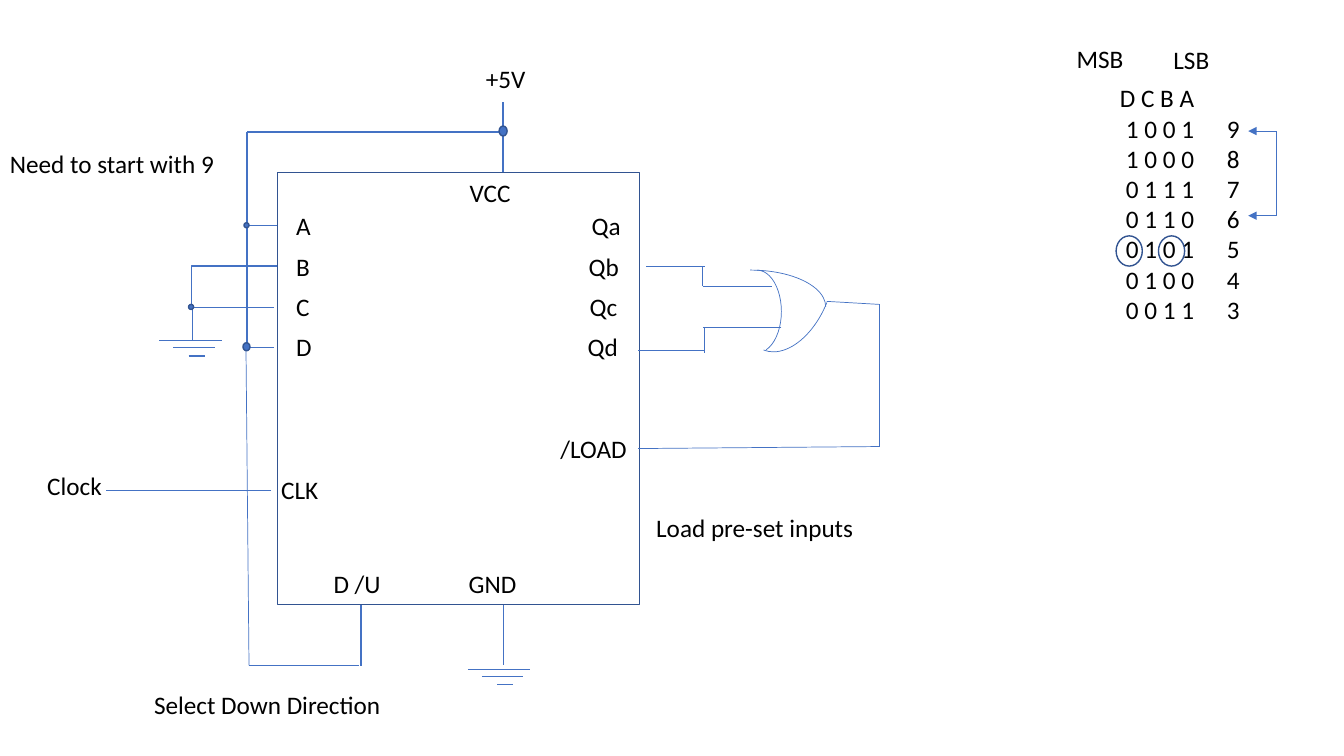
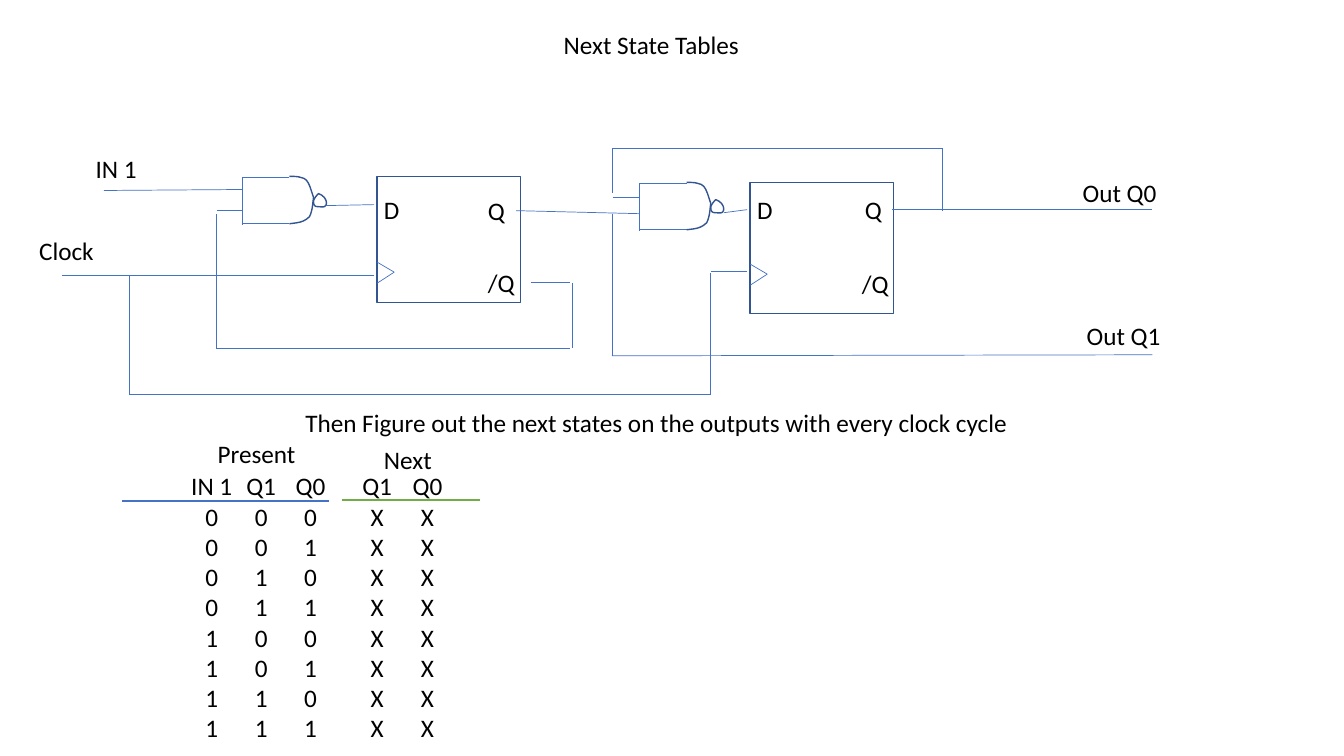
from pptx import Presentation
from pptx.dml.color import RGBColor
from pptx.enum import shapes, text
from pptx.oxml.ns import qn
from pptx.util import Inches, Pt
from lxml import etree

COLORS = {"wire": "4472C4", "outline": "325491", "ink": "000000", "next": "70AD47"}
FONT, SIZE = "Calibri", 18
LABEL_H = 0.4
THIN, MEDIUM, THICK = 0.5, 1, 1.5

# ---- Counter slide: labels are (text, left, top, width) ----
CHIP = (2.75, 1.71, 3.59, 4.29)
INPUT_PINS = ["A", "B", "C", "D"]
OUTPUT_PINS = [("Qa", 5.77), ("Qb", 5.74), ("Qc", 5.75), ("Qd", 5.73)]
PIN_TOP, PIN_STEP = 2.04, 0.4
COUNTER_LABELS = [
    ("D /U", 3.21, 5.59, 0.74), ("/LOAD", 5.46, 4.25, 0.87),
    ("GND", 4.55, 5.59, 0.87), ("VCC", 4.56, 1.71, 0.87),
    ("CLK", 2.69, 4.66, 0.87), ("Need to start with 9", 0, 1.42, 2.29),
    ("Clock", 0.37, 4.62, 0.87), ("Load pre-set inputs", 6.41, 5.03, 2.17),
    ("Select Down Direction", 1.43, 6.79, 2.83), ("MSB", 10.58, 0.38, 0.7),
    ("LSB", 11.54, 0.39, 0.7), ("+5V", 4.72, 0.58, 1.33),
]
COUNT_BOX = (11.01, 0.77, 1.53, 2.52)
COUNT_HEADER = "D C B A"
COUNTS = range(9, 2, -1)
COUNT_INDENT, COUNT_TAB = 0.06, 0.9
# Wires are (width, corner points)
B_TO_GROUND = [(2.75, 2.64), (1.91, 3.05)]
COUNTER_WIRES = [
    (MEDIUM, [(1.91, 3.05), (1.91, 3.38)]),                  # to ground
    (MEDIUM, [(2.72, 3.05), (1.86, 3.05)]),                  # C to ground
    (MEDIUM, [(2.72, 3.45), (2.45, 3.45), (2.45, 2.24), (2.45, 1.31), (4.99, 1.31)]),
    (MEDIUM, [(2.75, 2.24), (2.45, 2.24)]),                  # A to supply
    (MEDIUM, [(4.99, 1.71), (4.99, 1.01)]),                  # VCC
    (MEDIUM, [(3.58, 6), (3.58, 6.61)]),                     # D /U
    (THIN, [(3.56, 6.6), (2.47, 6.6), (2.44, 3.46)]),
    (THIN, [(6.41, 2.64), (6.99, 2.64)]),                    # Qb to gate
    (THIN, [(6.97, 2.64), (6.97, 2.84), (7.66, 2.84)]),
    (THIN, [(6.33, 3.48), (6.98, 3.48)]),                    # Qd to gate
    (THIN, [(6.99, 3.5), (6.99, 3.25)]),
    (THIN, [(7.75, 3.25), (6.97, 3.25)]),
    (THIN, [(6.33, 4.45), (8.72, 4.43), (8.72, 3.02), (8.2, 2.99)]),
    (THIN, [(4.99, 6), (4.99, 6.6)]),                        # GND
    (THIN, [(2.69, 4.86), (1.05, 4.86)]),                    # Clock
    (THIN, [(12.66, 1.3), (12.66, 2.14)]),                   # range bracket
]
BRACKET_ENDS = [1.3, 2.14]
GROUNDS = [(1.58, 3.38), (4.64, 6.64)]
GROUND_BARS = [(0, 0, 0.62), (0.14, 0.07, 0.41), (0.29, 0.15, 0.16)]  # inset, drop, length
JUNCTIONS = [(2.42, 2.21, 0.05, 0.05), (1.87, 3.02, 0.05, 0.05),
             (4.95, 1.25, 0.08, 0.1), (2.41, 3.4, 0.07, 0.08)]
ZERO_RINGS = [(11.07, 2.34, 0.26, 0.3), (11.49, 2.34, 0.26, 0.3)]
OR_ARCS = [((7.27, 2.68, 0.48, 0.82), (162, 46.18), 0),
           ((6.71, 2.68, 1.48, 0.73), (161.04, 0), 0),
           ((7.15, 2.44, 1.34, 0.82), (162, 0), 111.6)]

# ---- Next state slide ----
TITLE = ("Next State Tables", 5.49, 0.24, 2.35)
STATE_LABELS = [
    ("Q", 4.74, 1.89, 0.38), ("Q", 8.48, 1.88, 0.33),
    ("/Q", 4.74, 2.6, 0.53), ("/Q", 8.45, 2.61, 0.53),
    ("D", 3.71, 1.88, 0.38), ("D", 7.41, 1.88, 0.38),
    ("IN 1", 0.85, 1.47, 0.91), ("Clock", 0.29, 2.29, 1.36),
    ("Out Q0", 10.64, 1.71, 1), ("Out Q1", 10.68, 3.13, 1.1),
    ("Then Figure out the next states on the outputs with every clock cycle",
     2.93, 3.99, 7.73),
    ("Present", 2.06, 4.3, 1.2), ("Next", 3.71, 4.36, 0.98),
]
FLIP_FLOPS = [(3.74, 1.75, 1.42, 1.25), (7.44, 1.81, 1.42, 1.3)]
CLOCK_WEDGES = [(3.74, 2.6), (7.44, 2.62)]
NAND_GATES = [(2.4, 1.76), (6.34, 1.82)]
# Bezier chains relative to a gate's top left corner
NAND_FRONT = [(0.47, -0.01), (0.51, -0.01), (0.55, -0.01), (0.58, 0),
              (0.66, 0.01), (0.67, 0.08), (0.71, 0.2),
              (0.7, 0.27), (0.7, 0.33), (0.67, 0.39),
              (0.61, 0.45), (0.55, 0.45), (0.47, 0.46)]
NAND_BUBBLE = [(0.76, 0.16), (0.75, 0.17), (0.71, 0.21), (0.71, 0.24),
               (0.71, 0.27), (0.72, 0.29), (0.75, 0.29),
               (0.78, 0.29), (0.82, 0.3), (0.83, 0.28),
               (0.85, 0.26), (0.84, 0.19), (0.76, 0.16)]
STATE_WIRES = [
    (THIN, [(5.27, 2.8), (5.65, 2.8)]),                      # /Q feedback
    (THIN, [(5.68, 2.81), (5.68, 3.45)]),
    (THIN, [(5.65, 3.46), (2.15, 3.46), (2.15, 2.12)]),
    (THIN, [(2.15, 2.09), (2.4, 2.09)]),
    (THIN, [(3.71, 2.03), (3.23, 2.04)]),                    # gates to D
    (THIN, [(7.18, 2.11), (7.41, 2.08)]),
    (THIN, [(2.4, 1.88), (1.03, 1.89)]),                     # IN 1
    (THIN, [(5.12, 2.09), (6.34, 2.12)]),                    # Q to second gate
    (THIN, [(6.34, 1.96), (6.08, 1.96)]),                    # Q0 feedback
    (THIN, [(6.07, 1.91), (6.07, 1.47), (9.35, 1.47), (9.35, 2.09)]),
    (THIN, [(8.85, 2.08), (9.38, 2.08), (11.43, 2.08)]),     # Out Q0
    (THIN, [(6.07, 2.12), (6.07, 3.53), (11.43, 3.52)]),     # Out Q1
    (THIN, [(3.71, 2.73), (0.62, 2.73)]),                    # Clock
    (THIN, [(7.41, 2.69), (7.05, 2.69)]),
    (THIN, [(7.05, 2.71), (7.05, 3.91), (1.28, 3.91), (1.28, 2.73)]),
]
PRESENT_HEADER = ["IN 1", "Q1", "Q0"]
NEXT_HEADER = ["Q1", "Q0"]
STATES = range(8)
STATE_TOP, STATE_ROW = 4.68, 0.3


# ---- Shared helpers ----
def rgb(name):
    return RGBColor.from_string(COLORS[name])


def inches(values):
    return [Inches(v) for v in values]


def write(paragraph, words):
    run = paragraph.add_run()
    run.text = words
    run.font.name, run.font.size = FONT, Pt(SIZE)
    run.font.color.rgb = rgb("ink")


def text_frame(slide, box):
    frame = slide.shapes.add_textbox(*inches(box)).text_frame
    frame.word_wrap = True
    return frame


def label(slide, words, left, top, width):
    write(text_frame(slide, (left, top, width, LABEL_H)).paragraphs[0], words)


def connect(slide, start, end, width=THIN, color="wire",
            kind=shapes.MSO_CONNECTOR.STRAIGHT):
    line = slide.shapes.add_connector(kind, *inches(start + end))
    line.line.color.rgb = rgb(color)
    line.line.width = Pt(width)
    etree.SubElement(line._element.spPr, qn("a:effectLst"))
    return line._element.spPr


def wire(slide, points, width=THIN, color="wire"):
    for start, end in zip(points, points[1:]):
        connect(slide, start, end, width, color)


def style(shape, width=MEDIUM, color="outline", fill=None):
    shape.shadow.inherit = False
    if fill:
        shape.fill.solid()
        shape.fill.fore_color.rgb = rgb(fill)
    else:
        shape.fill.background()
    shape.line.color.rgb = rgb(color)
    shape.line.width = Pt(width)


def preset(slide, kind, box, **look):
    shape = slide.shapes.add_shape(kind, *inches(box))
    style(shape, **look)
    return shape


def curve(slide, left, top, chain, steps=6):
    points = [chain[0]]
    for i in range(0, len(chain) - 1, 3):
        for t in (n / steps for n in range(1, steps + 1)):
            weights = ((1 - t) ** 3, 3 * t * (1 - t) ** 2, 3 * t * t * (1 - t), t ** 3)
            points.append(tuple(sum(w * p[axis] for w, p in zip(weights, chain[i:i + 4]))
                                for axis in (0, 1)))
    placed = [(Inches(left + x), Inches(top + y)) for x, y in points]
    outline = slide.shapes.build_freeform(*placed[0])
    outline.add_line_segments(placed[1:], close=chain[0] == chain[-1])
    style(outline.convert_to_shape())


def grid(slide, left, top, widths, rows):
    table = slide.shapes.add_table(
        len(rows), len(widths),
        *inches((left, top, sum(widths), STATE_ROW * len(rows)))).table
    table.first_row = table.horz_banding = False
    for column, width in zip(table.columns, widths):
        column.width = Inches(width)
    for r, row in enumerate(rows):
        for c, value in enumerate(row):
            cell = table.cell(r, c)
            cell.fill.background()
            cell.margin_left = cell.margin_right = cell.margin_top = cell.margin_bottom = 0
            paragraph = cell.text_frame.paragraphs[0]
            paragraph.alignment = text.PP_ALIGN.CENTER
            write(paragraph, value)


deck = Presentation()
deck.slide_width, deck.slide_height = Inches(13.33), Inches(7.5)
TITLE_ONLY, BLANK = deck.slide_layouts[5], deck.slide_layouts[6]
KIND = shapes.MSO_SHAPE

# ---- Build the counter slide ----
counter = deck.slides.add_slide(BLANK)
preset(counter, KIND.RECTANGLE, CHIP)
for i, (pin_in, (pin_out, out_left)) in enumerate(zip(INPUT_PINS, OUTPUT_PINS)):
    pin_top = PIN_TOP + i * PIN_STEP
    label(counter, pin_in, 2.84, pin_top, 0.56)
    label(counter, pin_out, out_left, pin_top, 0.56)
for entry in COUNTER_LABELS:
    label(counter, *entry)

# Count sequence: binary digits, then the decimal value at a tab stop
sequence = text_frame(counter, COUNT_BOX)
write(sequence.paragraphs[0], COUNT_HEADER)
for n in COUNTS:
    count_line = sequence.add_paragraph()
    layout = count_line._p.get_or_add_pPr()
    layout.set("marL", str(Inches(COUNT_INDENT)))
    layout.set("indent", "0")
    stops = etree.SubElement(layout, qn("a:tabLst"))
    etree.SubElement(stops, qn("a:tab"), pos=str(Inches(COUNT_TAB)), algn="l")
    write(count_line, " ".join(f"{n:04b}") + f"\t{n}")

elbow = connect(counter, *B_TO_GROUND, MEDIUM, kind=shapes.MSO_CONNECTOR.ELBOW)
bend = elbow.find(qn("a:prstGeom")).find(qn("a:avLst"))
etree.SubElement(bend, qn("a:gd"), name="adj1", fmla="val 101000")
for width, points in COUNTER_WIRES:
    wire(counter, points, width)
for y in BRACKET_ENDS:
    pointer = connect(counter, (12.66, y), (12.38, y))
    etree.SubElement(pointer.find(qn("a:ln")), qn("a:tailEnd"), type="triangle")
for x, y in GROUNDS:
    for inset, drop, length in GROUND_BARS:
        wire(counter, [(x + inset, y + drop), (x + inset + length, y + drop)], MEDIUM)
for box in JUNCTIONS:
    preset(counter, KIND.OVAL, box, fill="wire")
for box in ZERO_RINGS:
    preset(counter, KIND.OVAL, box)
for box, angles, turn in OR_ARCS:
    arc = preset(counter, KIND.ARC, box, width=THIN, color="wire")
    arc.adjustments[0], arc.adjustments[1] = angles
    arc.rotation = turn

# ---- Build the next state slide ----
states = deck.slides.add_slide(TITLE_ONLY)
heading = states.shapes.title
words, *place = TITLE
heading.left, heading.top, heading.width, heading.height = inches(place + [LABEL_H])
heading.text_frame.auto_size = text.MSO_AUTO_SIZE.NONE
heading.text_frame.vertical_anchor = text.MSO_ANCHOR.TOP
heading.text_frame.paragraphs[0].alignment = text.PP_ALIGN.LEFT
write(heading.text_frame.paragraphs[0], words)

for x, y in NAND_GATES:
    for arm in (y, y + 0.46):
        wire(states, [(x, arm), (x + 0.47, arm)])
    wire(states, [(x, y), (x, y + 0.47)])
    curve(states, x, y, NAND_FRONT)
    curve(states, x, y, NAND_BUBBLE)
for box in FLIP_FLOPS:
    preset(states, KIND.RECTANGLE, box)
for x, y in CLOCK_WEDGES:
    wire(states, [(x, y), (x + 0.17, y + 0.1), (x, y + 0.21)])
for width, points in STATE_WIRES:
    wire(states, points, width)
for entry in STATE_LABELS:
    label(states, *entry)

# State tables with their header rules
grid(states, 1.85, STATE_TOP, [0.5, 0.48, 0.5],
     [PRESENT_HEADER] + [list(f"{n:03b}") for n in STATES])
grid(states, 3.49, STATE_TOP, [0.5, 0.5],
     [NEXT_HEADER] + [["X", "X"] for n in STATES])
wire(states, [(1.21, 4.97), (3.26, 4.97)], THICK)
wire(states, [(3.39, 4.96), (4.76, 4.96)], THICK, "next")

deck.save("out.pptx")
